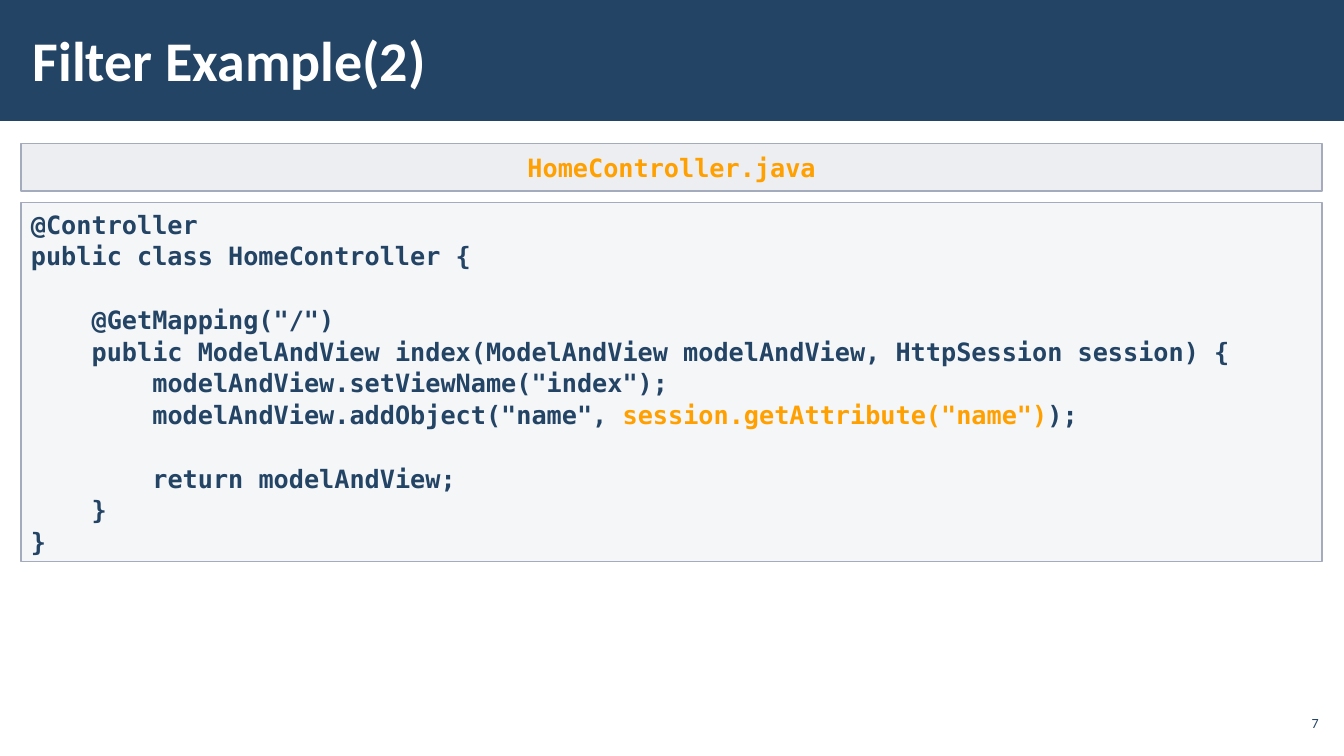
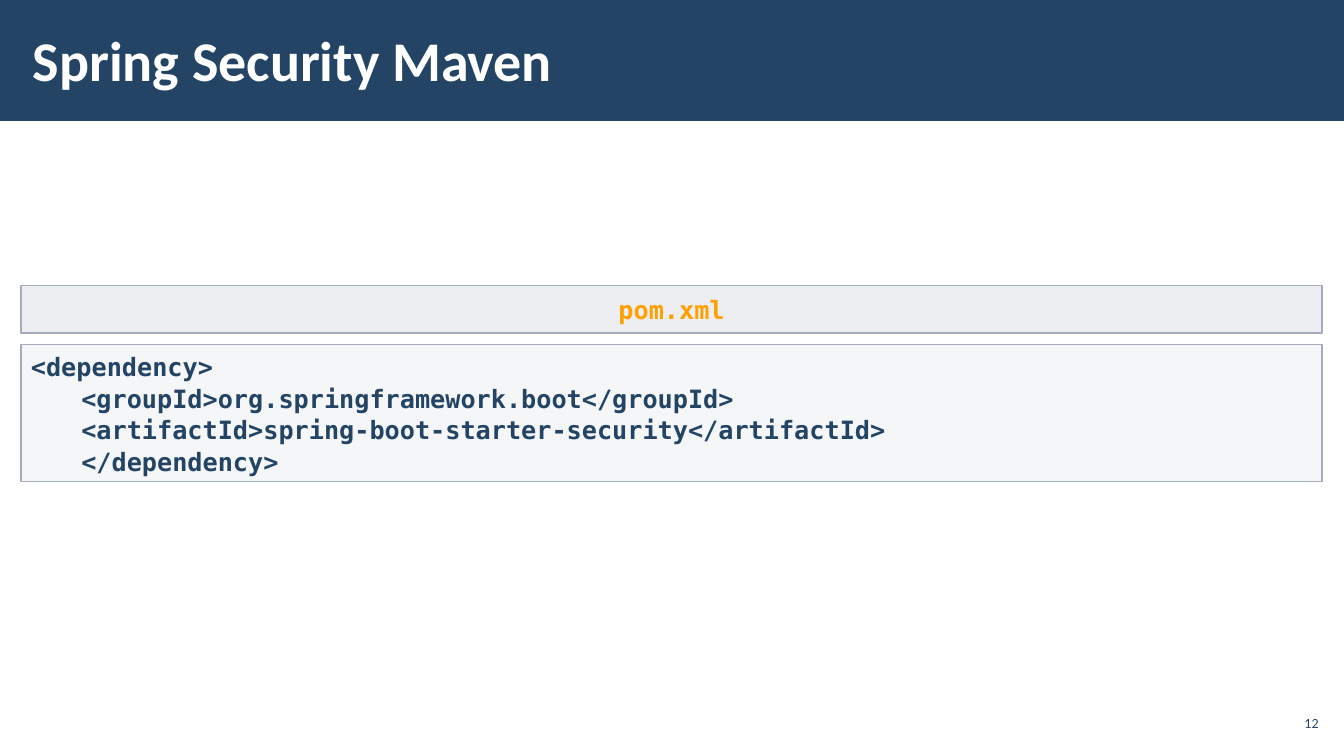
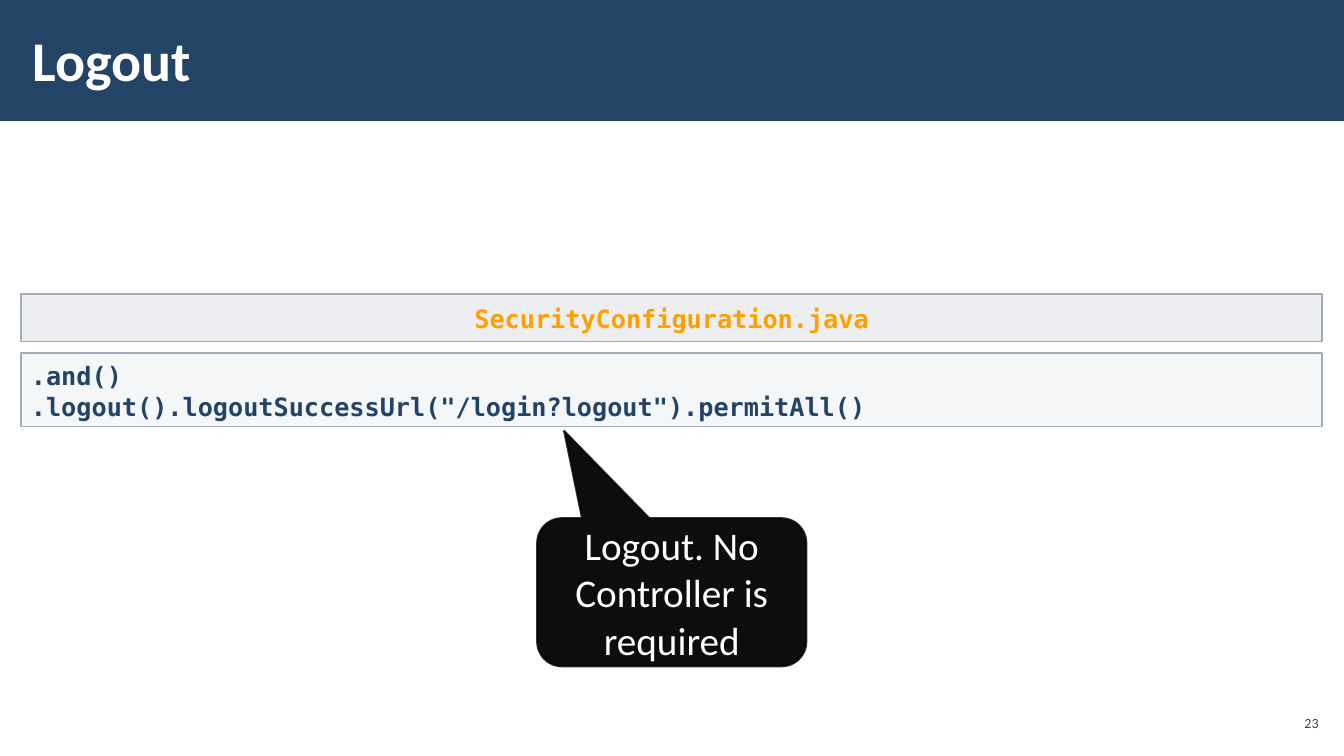
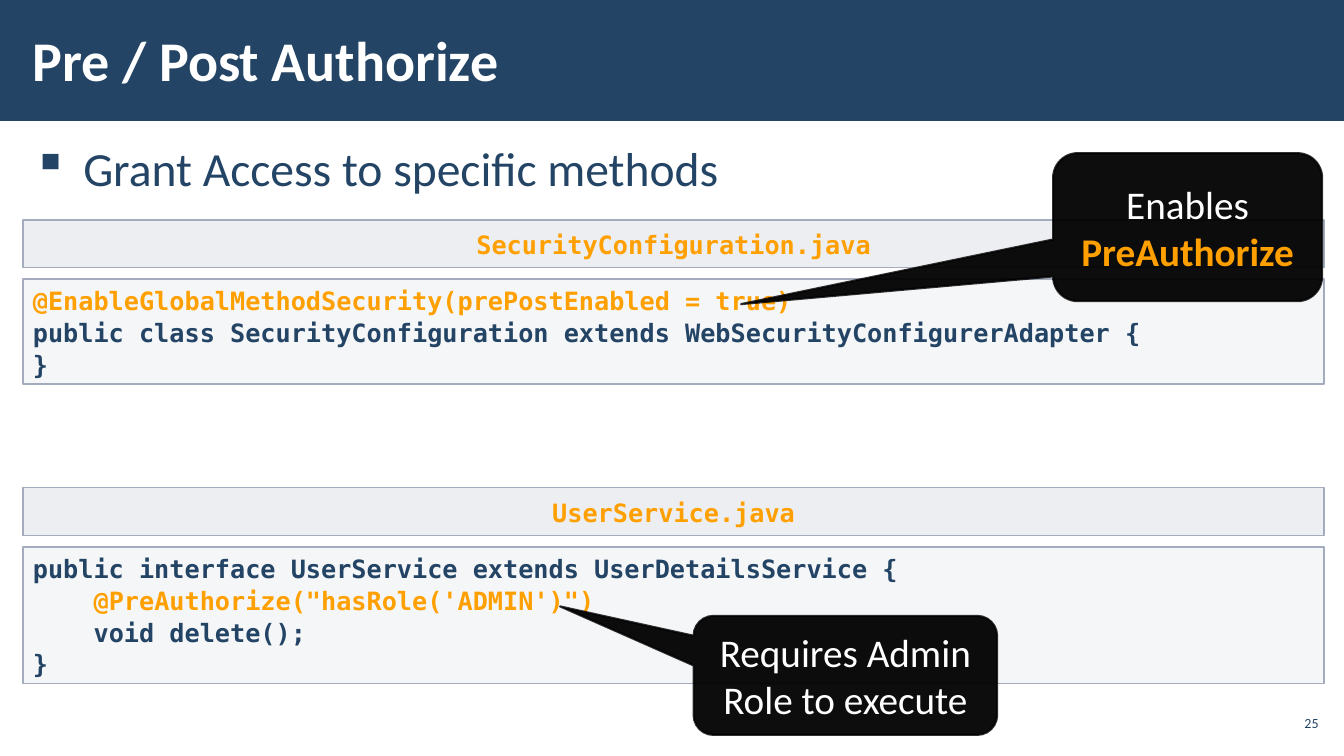
import dataclasses

import pptx
import pptx.dml.color
import pptx.enum.shapes
import pptx.enum.text
import pptx.oxml
import pptx.oxml.ns
import pptx.util

Cm, Pt = pptx.util.Cm, pptx.util.Pt
SHAPE = pptx.enum.shapes.MSO_SHAPE
ALIGN = pptx.enum.text.PP_ALIGN
ANCHOR = pptx.enum.text.MSO_ANCHOR


# Theme
@dataclasses.dataclass(frozen=True)
class Theme:
    navy: str = "234465"
    white: str = "FFFFFF"
    orange: str = "FFA000"
    black: str = "000000"
    panel: str = "C2C7D2"
    border: str = "A3ABBC"
    sans: str = "Calibri"
    mono: str = "DejaVu Sans Mono"
    title_size: int = 40
    bullet_size: int = 34
    callout_size: int = 28
    code_size: int = 18
    number_size: int = 10
    line_spacing: float = 1.05


THEME = Theme()


# Content
@dataclasses.dataclass(frozen=True)
class Line:
    text: str
    indent: float = 0  # cm
    accent: str = ""  # part of the text shown in orange
    gap_before: bool = False


TAB = 1.53  # four code characters, cm
XML_TAB = 1.27

SLIDES = [
    dict(
        title="Filter Example(2)",
        number="7",
        listings=[("HomeController.java", 0.53, 3.61, [
            Line("@Controller"),
            Line("public class HomeController {"),
            Line('@GetMapping("/")', TAB, gap_before=True),
            Line("public ModelAndView index(ModelAndView modelAndView, HttpSession session) {", TAB),
            Line('modelAndView.setViewName("index");', 2 * TAB),
            Line('modelAndView.addObject("name", session.getAttribute("name"));', 2 * TAB,
                 'session.getAttribute("name")'),
            Line("return modelAndView;", 2 * TAB, gap_before=True),
            Line("}", TAB),
            Line("}"),
        ])],
    ),
    dict(
        title="Spring Security Maven",
        number="12",
        listings=[("pom.xml", 0.53, 7.19, [
            Line("<dependency>"),
            Line("<groupId>org.springframework.boot</groupId>", XML_TAB),
            Line("<artifactId>spring-boot-starter-security</artifactId>", XML_TAB),
            Line("</dependency>", XML_TAB),
        ])],
    ),
    dict(
        title="Logout",
        number="23",
        listings=[("SecurityConfiguration.java", 0.53, 7.41, [
            Line(".and()"),
            Line('.logout().logoutSuccessUrl("/login?logout").permitAll()'),
        ])],
        callouts=[(Line("Logout. No Controller is required"),
                   (13.54, 13.06, 6.78, 3.73), (-0.4, -1.09))],
    ),
    dict(
        title="Pre / Post Authorize",
        number="25",
        bullet="Grant Access to specific methods",
        listings=[
            ("SecurityConfiguration.java", 0.58, 5.54, [
                Line("@EnableGlobalMethodSecurity(prePostEnabled = true)",
                     accent="@EnableGlobalMethodSecurity(prePostEnabled = true)"),
                Line("public class SecurityConfiguration extends WebSecurityConfigurerAdapter {"),
                Line("}"),
            ]),
            ("UserService.java", 0.58, 12.29, [
                Line("public interface UserService extends UserDetailsService {"),
                Line("@PreAuthorize(\"hasRole('ADMIN')\")", TAB, "@PreAuthorize(\"hasRole('ADMIN')\")"),
                Line("void delete();", TAB),
                Line("}"),
            ]),
        ],
        callouts=[
            (Line("Enables PreAuthorize", accent="PreAuthorize"),
             (26.54, 3.86, 6.78, 3.73), (-1.66, 0.52)),
            (Line("Requires Admin Role to execute"),
             (17.48, 15.52, 7.65, 3), (-0.94, -0.58)),
        ],
    ),
]

# Listing geometry, cm
LISTING_WIDTH = 32.79
HEADER_HEIGHT = 1.2
CODE_OFFSET = 1.49
CODE_PADDING = 0.25
CODE_LINE = 0.8


# Helpers
def rgb(value):
    return pptx.dml.color.RGBColor.from_string(value)


def set_alpha(element, percent):
    """Make every solid colour below the element partly transparent."""
    for colour in element.iter(pptx.oxml.ns.qn("a:srgbClr")):
        alpha = colour.makeelement(pptx.oxml.ns.qn("a:alpha"), {"val": str(percent * 1000)})
        colour.append(alpha)


def style_font(font, size, colour, name=THEME.sans, bold=False):
    font.name, font.size, font.bold = name, Pt(size), bold
    font.color.rgb = rgb(colour)


def set_frame(frame, anchor, side, edge):
    frame.word_wrap = True
    frame.vertical_anchor = anchor
    frame.margin_left = frame.margin_right = Cm(side)
    frame.margin_top = frame.margin_bottom = Cm(edge)


def set_indent(paragraph, left, first=0):
    properties = paragraph._p.get_or_add_pPr()
    properties.set("marL", str(Cm(left)))
    properties.set("indent", str(Cm(first)))
    return properties


def write_runs(paragraph, line, accent_bold):
    """Write the line, with its accent part in orange."""
    before, accent, after = line.text.partition(line.accent) if line.accent else (line.text, "", "")
    for part, accented in ((before, False), (accent, True), (after, False)):
        if part:
            run = paragraph.add_run()
            run.text = part
            if accented:
                run.font.color.rgb = rgb(THEME.orange)
                run.font.bold = accent_bold


def add_box(slide, preset, place, fill, line=None, width=1):
    box = slide.shapes.add_shape(preset, *map(Cm, place))
    box.shadow.inherit = False
    box.fill.solid()
    box.fill.fore_color.rgb = rgb(fill)
    if line:
        box.line.color.rgb = rgb(line)
        box.line.width = Pt(width)
    else:
        box.line.fill.background()
    return box


def add_label(slide, place, text, size, colour, anchor, side=0.3, bold=False):
    frame = slide.shapes.add_textbox(*map(Cm, place)).text_frame
    set_frame(frame, anchor, side, 0.1)
    paragraph = frame.paragraphs[0]
    paragraph.text = text
    style_font(paragraph.font, size, colour, bold=bold)
    return paragraph


def add_bullet(slide, text):
    paragraph = add_label(slide, (0.53, 3.33, 32.82, 14.45), text,
                          THEME.bullet_size, THEME.navy, ANCHOR.TOP)
    paragraph.line_spacing = THEME.line_spacing
    paragraph.space_before = paragraph.space_after = Pt(6)
    properties = set_indent(paragraph, 1.27, -1.27)
    mark = pptx.oxml.parse_xml(
        f'<a:buChar {pptx.oxml.ns.nsdecls("a")} char="▪"/>')
    properties.find(pptx.oxml.ns.qn("a:defRPr")).addprevious(mark)


def add_panel(slide, place, alpha, edge, lines, colour, align):
    panel = add_box(slide, SHAPE.RECTANGLE, place, THEME.panel, THEME.border)
    set_alpha(panel.fill._xPr.find(pptx.oxml.ns.qn("a:solidFill")), alpha)
    frame = panel.text_frame
    set_frame(frame, ANCHOR.TOP, 0.25, edge)
    for index, line in enumerate(lines):
        paragraph = frame.add_paragraph() if index else frame.paragraphs[0]
        paragraph.alignment = align
        paragraph.line_spacing = THEME.line_spacing
        if line.gap_before:
            paragraph.space_before = Cm(CODE_LINE)
        set_indent(paragraph, line.indent)
        style_font(paragraph.font, THEME.code_size, colour, THEME.mono, True)
        write_runs(paragraph, line, True)


def add_listing(slide, file_name, left, top, lines):
    rows = len(lines) + sum(line.gap_before for line in lines)
    code_height = CODE_PADDING + CODE_LINE * rows
    add_panel(slide, (left, top + CODE_OFFSET, LISTING_WIDTH, code_height),
              15, 0.13, lines, THEME.navy, ALIGN.LEFT)
    add_panel(slide, (left, top, LISTING_WIDTH, HEADER_HEIGHT),
              30, 0.2, [Line(file_name)], THEME.orange, ALIGN.CENTER)


def add_callout(slide, line, place, tip):
    callout = add_box(slide, SHAPE.ROUNDED_RECTANGULAR_CALLOUT, place,
                      THEME.black, THEME.black, 1.5)
    callout.adjustments[0], callout.adjustments[1] = tip
    set_alpha(callout.fill._xPr.find(pptx.oxml.ns.qn("a:solidFill")), 95)
    set_alpha(callout.line._ln, 80)
    set_frame(callout.text_frame, ANCHOR.MIDDLE, 0.25, 0.13)
    paragraph = callout.text_frame.paragraphs[0]
    paragraph.alignment = ALIGN.CENTER
    style_font(paragraph.font, THEME.callout_size, THEME.white)
    write_runs(paragraph, line, True)


def share_band(slide):
    """Put the title band on the layout, so that every slide shows it."""
    band = add_box(slide, SHAPE.RECTANGLE, (0, 0, 33.87, 3.05), THEME.navy)
    band.element.nvSpPr.cNvPr.set("id", "99")
    slide.slide_layout.shapes.element.append(band.element)


def main():
    deck = pptx.Presentation()
    deck.slide_width, deck.slide_height = Cm(33.87), Cm(19.05)
    for index, content in enumerate(SLIDES):
        slide = deck.slides.add_slide(deck.slide_layouts[6])
        if index == 0:
            share_band(slide)
        if "bullet" in content:
            add_bullet(slide, content["bullet"])
        add_label(slide, (0.53, 0.28, 26.39, 2.44), content["title"],
                  THEME.title_size, THEME.white, ANCHOR.MIDDLE, bold=True)
        number = add_label(slide, (32.13, 17.78, 1.2, 0.86), content["number"],
                           THEME.number_size, THEME.navy, ANCHOR.MIDDLE, side=0.1)
        number.alignment = ALIGN.RIGHT
        for listing in content["listings"]:
            add_listing(slide, *listing)
        for callout in content.get("callouts", []):
            add_callout(slide, *callout)
    deck.save("out.pptx")


if __name__ == "__main__":
    main()
